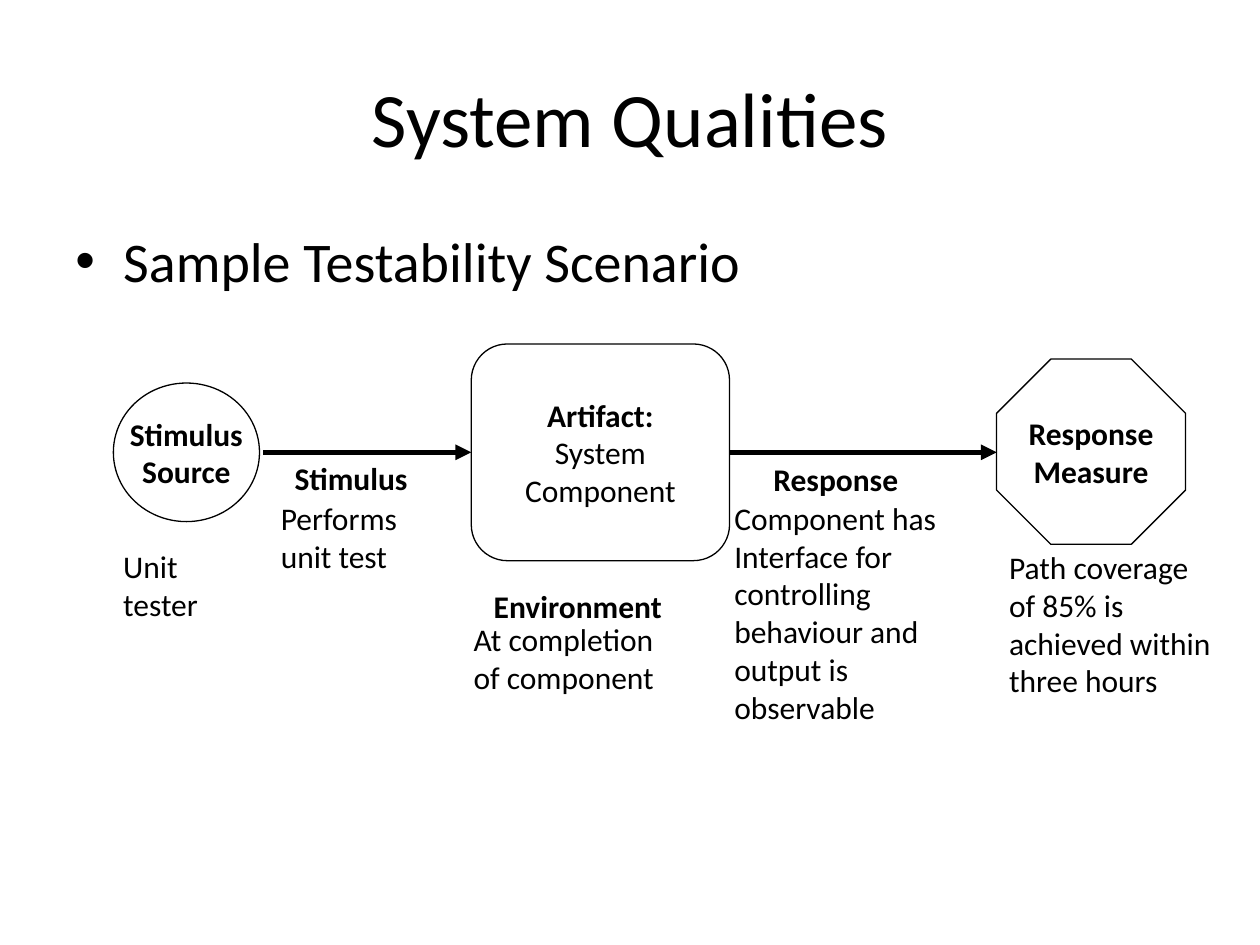
import pptx
import pptx.util
import pptx.dml.color
import pptx.enum.shapes
import pptx.enum.text
import pptx.oxml
import pptx.oxml.ns
import lxml.etree

Inches = pptx.util.Inches
Pt = pptx.util.Pt
Kind = pptx.enum.shapes.MSO_SHAPE
Align = pptx.enum.text.PP_ALIGN
Anchor = pptx.enum.text.MSO_ANCHOR
Fit = pptx.enum.text.MSO_AUTO_SIZE
qn = pptx.oxml.ns.qn


class Theme:
    font = "Calibri"
    ink = pptx.dml.color.RGBColor(0, 0, 0)
    title = Pt(44)
    body = Pt(32)
    label = Pt(18)
    thin = Pt(0.75)
    thick = Pt(3)


deck = pptx.Presentation()
deck.slide_width = Inches(10)
deck.slide_height = Inches(7.5)
slide = deck.slides.add_slide(deck.slide_layouts[6])
shapes = slide.shapes


def write(shape, text, size=Theme.label, bold=0, align=Align.LEFT, wrap=False):
    """Fill a shape with text; the first `bold` lines are bold."""
    frame = shape.text_frame
    frame.text = text
    frame.word_wrap = wrap
    for row, para in enumerate(frame.paragraphs):
        para.alignment = align
        for run in para.runs:
            run.font.name = Theme.font
            run.font.size = size
            run.font.bold = row < bold
            run.font.color.rgb = Theme.ink
    return frame


def add_box(left, top, width, height):
    return shapes.add_textbox(Inches(left), Inches(top), Inches(width), Inches(height))


# Title
frame = write(add_box(0.5, 0.3, 9, 1.25), "System Qualities", Theme.title,
              align=Align.CENTER, wrap=True)
frame.vertical_anchor = Anchor.MIDDLE

# Bullet line
body = add_box(0.5, 1.75, 9, 4.95)
body.text_frame.text = "Sample Testability Scenario"
props = body.text_frame.paragraphs[0]._p.get_or_add_pPr()
props.set("marL", str(Inches(0.38)))
props.set("indent", str(-Inches(0.38)))
lxml.etree.SubElement(props, qn("a:buFont")).set("typeface", "Arial")
lxml.etree.SubElement(props, qn("a:buChar")).set("char", "•")
for run in body.text_frame.paragraphs[0].runs:
    run.font.name = Theme.font
    run.font.size = Theme.body
    run.font.color.rgb = Theme.ink
body.text_frame.word_wrap = True

# Outlined nodes: kind, place, text, bold lines
nodes = [
    (Kind.OVAL, (0.9, 3.04, 1.16, 1.1), "Stimulus\nSource", 2),
    (Kind.ROUNDED_RECTANGLE, (3.74, 2.73, 2.05, 1.72),
     "Artifact:\nSystem\nComponent", 1),
    (Kind.OCTAGON, (7.91, 2.85, 1.5, 1.47), "Response\nMeasure", 2),
]
made = []
for kind, place, text, bold in nodes:
    node = shapes.add_shape(kind, *[Inches(n) for n in place])
    node.shadow.inherit = False
    node.fill.background()
    node.line.color.rgb = Theme.ink
    node.line.width = Theme.thin
    frame = write(node, text, bold=bold, align=Align.CENTER)
    frame.vertical_anchor = Anchor.MIDDLE
    made.append(node)
source, part, goal = made

# Arrows into and out of the artifact
mid = Inches(3.59)
flow_in = shapes.add_connector(pptx.enum.shapes.MSO_CONNECTOR.STRAIGHT,
                               Inches(2.09), mid, part.left, mid)
flow_in.end_connect(part, 1)
flow_out = shapes.add_connector(pptx.enum.shapes.MSO_CONNECTOR.STRAIGHT,
                                part.left + part.width, mid, goal.left, mid)
flow_out.begin_connect(part, 3)
for flow in (flow_in, flow_out):
    flow.line.color.rgb = Theme.ink
    flow.line.width = Theme.thick
    tip = lxml.etree.SubElement(flow.line._get_or_add_ln(), qn("a:tailEnd"))
    tip.set("type", "triangle")
    lxml.etree.SubElement(flow._element.spPr, qn("a:effectLst"))

# Headings and notes: place, text, bold lines
labels = [
    ((2.24, 3.59, 1.26, 0.4), "Stimulus", 1),
    ((3.82, 4.61, 1.73, 0.4), "Environment", 1),
    ((6.04, 3.6, 1.4, 0.4), "Response", 1),
    ((0.88, 4.29, 0.83, 0.7), "Unit\ntester", 0),
    ((2.13, 3.91, 1.22, 0.7), "Performs\nunit test", 0),
    ((3.66, 4.87, 1.72, 0.7), "At completion\nof component", 0),
    ((5.73, 3.91, 1.97, 1.9), "Component has\nInterface for\ncontrolling\n"
     "behaviour and\noutput is\nobservable", 0),
    ((7.91, 4.3, 1.91, 1.3),
     "Path coverage\nof 85% is\nachieved within\nthree hours", 0),
]
for place, text, bold in labels:
    frame = write(add_box(*place), text, bold=bold)
    frame.auto_size = Fit.SHAPE_TO_FIT_TEXT

deck.save("out.pptx")
